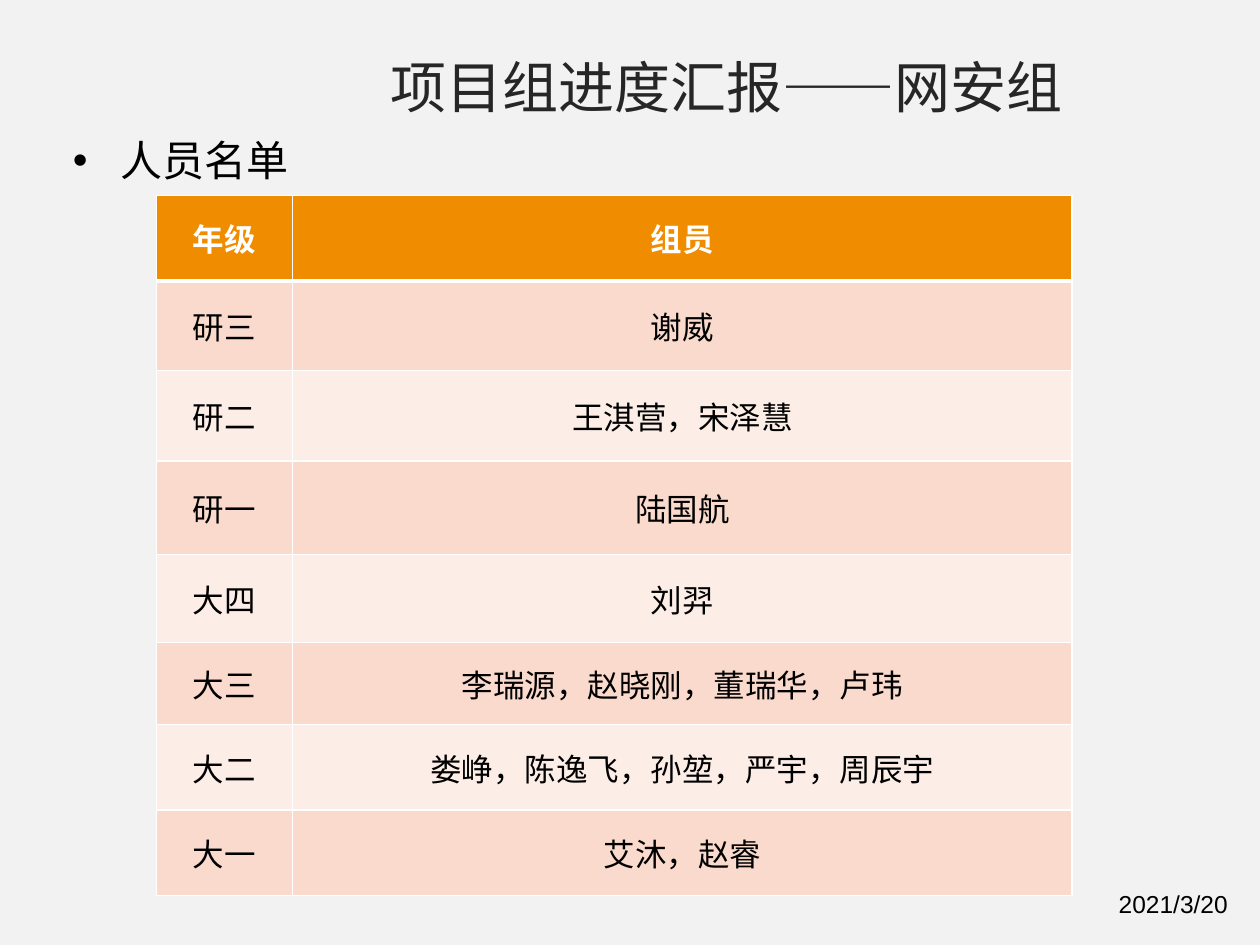
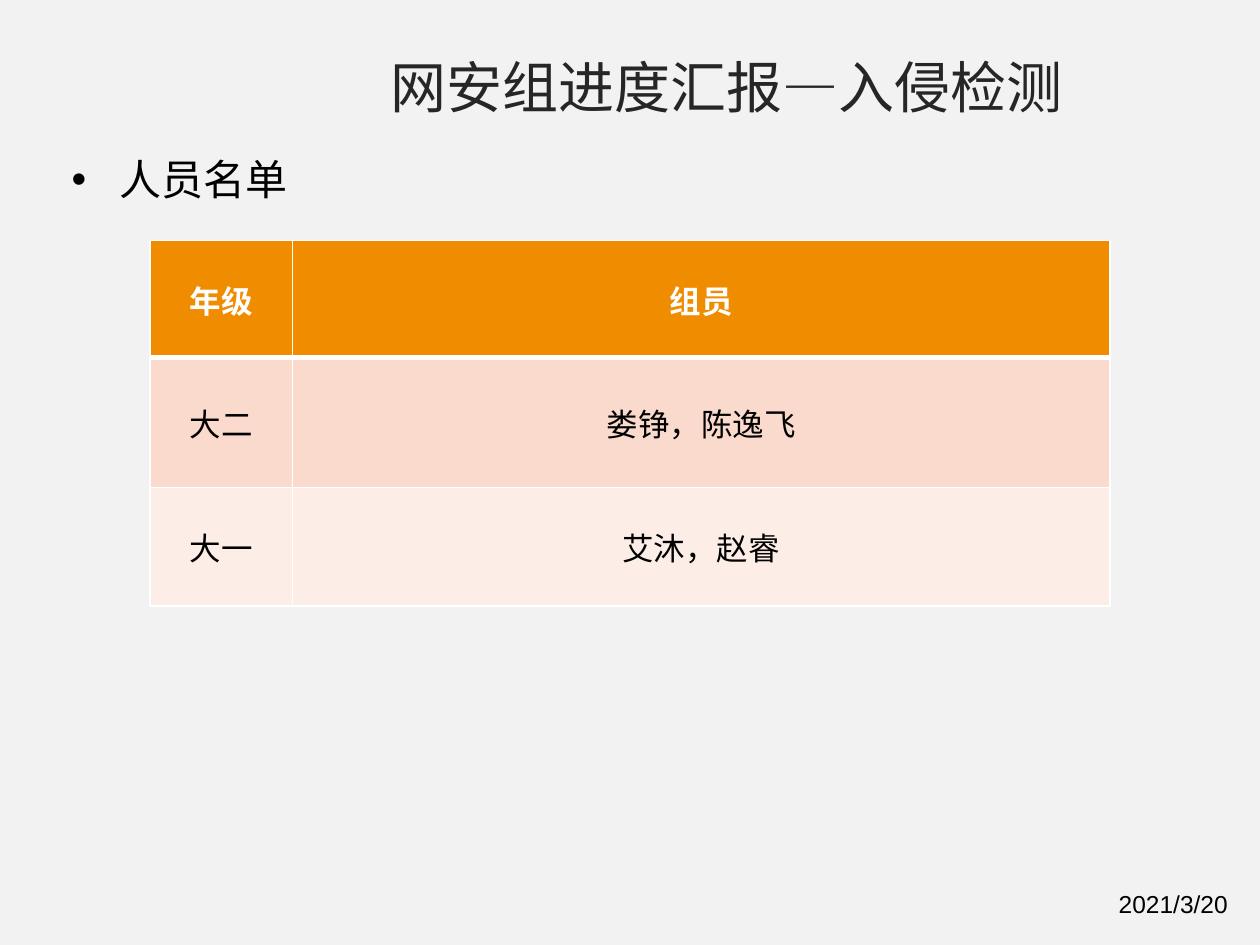
from lxml import etree
from pptx import Presentation
from pptx.dml.color import RGBColor
from pptx.enum.text import MSO_ANCHOR, MSO_AUTO_SIZE, PP_ALIGN
from pptx.oxml.ns import qn
from pptx.util import Inches, Pt

MIDDLE = MSO_ANCHOR.MIDDLE
CENTER = PP_ALIGN.CENTER
GROW = MSO_AUTO_SIZE.SHAPE_TO_FIT_TEXT

PAPER = RGBColor(0xF2, 0xF2, 0xF2)
INK = RGBColor(0x26, 0x26, 0x26)
BLACK = RGBColor(0, 0, 0)
WHITE = RGBColor(0xFF, 0xFF, 0xFF)
ORANGE = RGBColor(0xF0, 0x8C, 0x00)
PEACH = RGBColor(0xF9, 0xDA, 0xCC)
CREAM = RGBColor(0xFC, 0xEE, 0xE7)

HAN = "Noto Sans CJK SC"
COLS, ROWS = 100, 75
HEAD = ("年级", "组员")


class Deck:
    """Hold the shared style and the current slide, on a 100 by 75 grid."""

    def __init__(self):
        self.prs = Presentation()
        self.prs.slide_width = Inches(10)
        self.prs.slide_height = Inches(7.5)
        self.slide = None

    def x(self, cols):
        return round(self.prs.slide_width * cols / COLS)

    def y(self, rows):
        return round(self.prs.slide_height * rows / ROWS)

    def page(self, title, width):
        self.slide = self.prs.slides.add_slide(self.prs.slide_layouts[6])
        fill = self.slide.background.fill
        fill.solid()
        fill.fore_color.rgb = PAPER
        box = self.text(title, (30, 3.7, width, 6.4), 32, INK)
        box.word_wrap = False
        box.auto_size = GROW
        date = self.text("2021/3/20", (87.8, 70.1, 12.2, 3.4), 14, BLACK, "Arial")
        date.auto_size = GROW

    def style(self, para, size, color, font=HAN, bold=False):
        for run in para.runs:
            face = run.font
            face.size, face.bold, face.name = Pt(size), bold, font
            face.color.rgb = color
            latin = face._element.find(qn("a:latin"))
            asian = etree.Element(qn("a:ea"), typeface=HAN)
            latin.addnext(asian)

    def text(self, words, area, size, color, font=HAN):
        left, top, width, height = area
        box = self.slide.shapes.add_textbox(
            self.x(left), self.y(top), self.x(width), self.y(height))
        frame = box.text_frame
        frame.word_wrap = True
        frame.text = words
        self.style(frame.paragraphs[0], size, color, font)
        return frame

    def bullet(self, words, left, top):
        para = self.text(words, (left, top, 27.3, 6.5), 24, BLACK).paragraphs[0]
        para.space_before = Pt(5)
        props = para._p.get_or_add_pPr()
        props.set("marL", str(self.x(3.8)))
        props.set("indent", str(-self.x(3.8)))
        etree.SubElement(props, qn("a:buFont"), typeface="Arial")
        etree.SubElement(props, qn("a:buChar"), char="•")

    def border(self, cell, row):
        props = cell._tc.get_or_add_tcPr()
        thick = {0: "lnB", 1: "lnT"}.get(row)
        for side in ("lnL", "lnR", "lnT", "lnB"):
            width = Pt(3 if side == thick else 1)
            line = etree.SubElement(props, qn(f"a:{side}"), w=str(width))
            fill = etree.SubElement(line, qn("a:solidFill"))
            etree.SubElement(fill, qn("a:srgbClr"), val=str(WHITE))

    def cell(self, cell, words, row):
        self.border(cell, row)
        cell.fill.solid()
        cell.fill.fore_color.rgb = ORANGE if row == 0 else (CREAM, PEACH)[row % 2]
        cell.vertical_anchor = MIDDLE
        cell.margin_left = cell.margin_right = self.x(0.9)
        cell.margin_top = cell.margin_bottom = self.y(0.4)
        cell.text_frame.text = words
        para = cell.text_frame.paragraphs[0]
        para.alignment = CENTER
        self.style(para, 18, BLACK if row else WHITE, "Calibri", row == 0)

    def table(self, left, top, widths, heights, names):
        rows = [HEAD, *names]
        grid = self.slide.shapes.add_table(
            len(rows), len(HEAD), self.x(left), self.y(top),
            self.x(sum(widths)), self.y(sum(heights))).table
        for col, width in zip(grid.columns, widths):
            col.width = self.x(width)
        for i, (row, height) in enumerate(zip(rows, heights)):
            grid.rows[i].height = self.y(height)
            for j, words in enumerate(row):
                self.cell(grid.cell(i, j), words, i)


def main():
    deck = Deck()

    deck.page("项目组进度汇报——网安组", 56.6)
    deck.bullet("人员名单", 4.8, 10.2)
    deck.table(12.4, 15.5, (10.8, 61.9),
               (6.8, 7.1, 7.2, 7.4, 7, 6.5, 6.8, 6.8), [
        ("研三", "谢威"),
        ("研二", "王淇营，宋泽慧"),
        ("研一", "陆国航"),
        ("大四", "刘羿"),
        ("大三", "李瑞源，赵晓刚，董瑞华，卢玮"),
        ("大二", "娄峥，陈逸飞，孙堃，严宇，周辰宇"),
        ("大一", "艾沐，赵睿"),
    ])

    deck.page("网安组进度汇报—入侵检测", 56.2)
    deck.bullet("人员名单", 4.7, 11.7)
    deck.table(11.9, 19.1, (11.3, 64.9), (9.3, 10.3, 9.4), [
        ("大二", "娄铮，陈逸飞"),
        ("大一", "艾沐，赵睿"),
    ])

    deck.prs.save("out.pptx")


if __name__ == "__main__":
    main()
